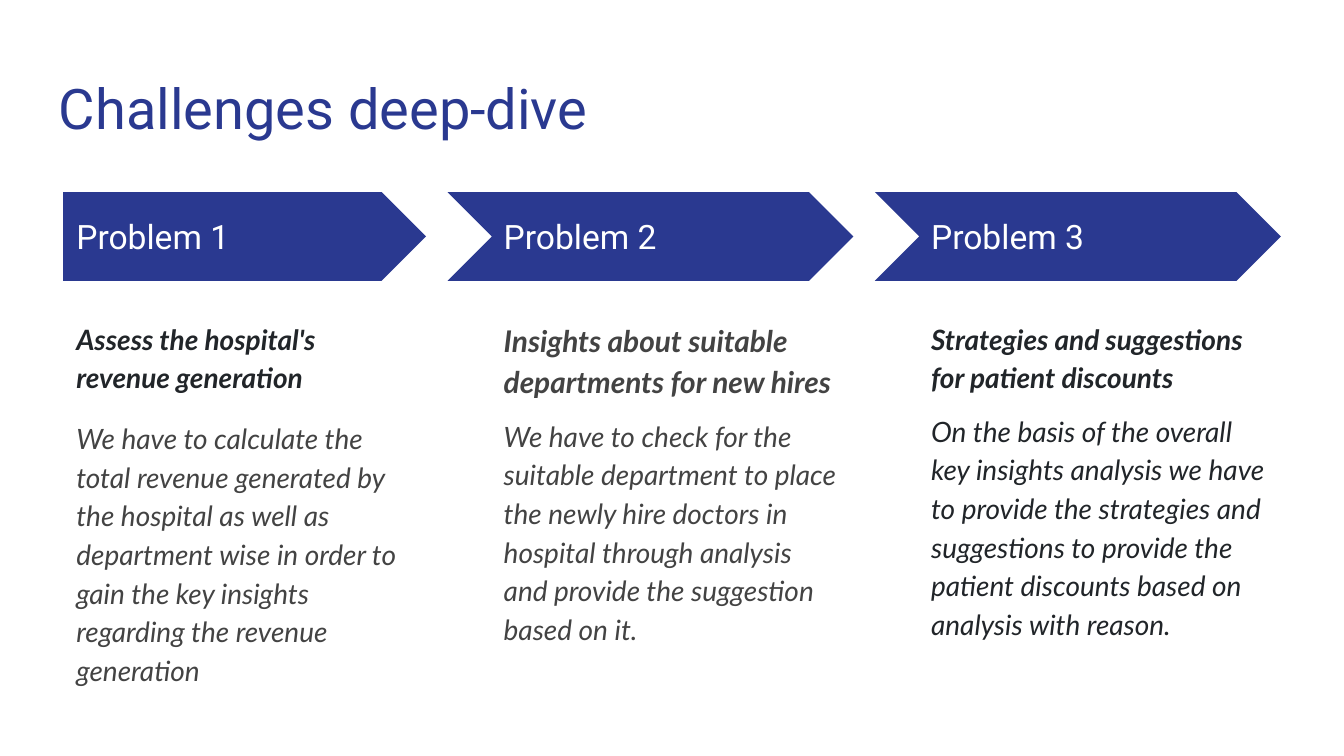
import pptx
import pptx.util
from pptx.dml.color import RGBColor
from pptx.enum.shapes import MSO_SHAPE
from pptx.enum.text import MSO_ANCHOR

Inches, Pt = pptx.util.Inches, pptx.util.Pt

TITLE = "Challenges deep-dive"
PROBLEMS = [
    {
        "label": "Problem 1",
        "heading": "Assess the hospital's revenue generation",
        "body": "We have to calculate the total revenue generated by the hospital "
                "as well as department wise in order to gain the key insights "
                "regarding the revenue generation",
        "heading_size": 15, "heading_color": "dark", "body_color": "gray", "gap": 12,
    },
    {
        "label": "Problem 2",
        "heading": "Insights about suitable departments for new hires",
        "body": "We have to check for the suitable department to place the newly "
                "hire doctors in hospital through analysis and provide the "
                "suggestion based on it.",
        "heading_size": 16, "heading_color": "gray", "body_color": "gray", "gap": 8,
    },
    {
        "label": "Problem 3",
        "heading": "Strategies and suggestions for patient discounts",
        "body": "On the basis of the overall key insights analysis we have to "
                "provide the strategies and suggestions to provide the patient "
                "discounts based on analysis with reason.",
        "heading_size": 15, "heading_color": "dark", "body_color": "dark", "gap": 8,
    },
]

THEME = {
    "blue": RGBColor.from_string("2A3990"),
    "white": RGBColor.from_string("FFFFFF"),
    "dark": RGBColor.from_string("212529"),
    "gray": RGBColor.from_string("434343"),
    "display": "Roboto", "text": "Lato",
    "title_size": 30, "label_size": 18, "body_size": 15,
}

SLIDE_W = 10
SLIDE_H = SLIDE_W * 9 / 16
LEFT, PITCH, COLUMN_W = 0.47, 3.18, 2.7
NOTCH = 0.32  # how far a chevron starts before its column
ARROW_TOP, ARROW_H = 1.43, 0.66
LABEL_W, LABEL_H = 2.47, 0.34
TEXT_TOP, TEXT_H = 2.26, 2.9


def add_text(slide, box, paragraphs, anchor=MSO_ANCHOR.TOP):
    """Add a text box; each paragraph is (text, font, size, color, bold, italic)."""
    tf = slide.shapes.add_textbox(*map(Inches, box)).text_frame
    tf.word_wrap = True
    tf.vertical_anchor = anchor
    tf.margin_left = tf.margin_right = tf.margin_top = tf.margin_bottom = Inches(0.1)
    for i, (text, font, size, color, bold, italic) in enumerate(paragraphs):
        p = tf.add_paragraph() if i else tf.paragraphs[0]
        p.text = text
        p.font.name, p.font.size = THEME[font], Pt(size)
        p.font.color.rgb = THEME[color]
        p.font.bold, p.font.italic = bold, italic
    return tf


def add_arrow(slide, left, is_first):
    notch = 0 if is_first else NOTCH
    kind = MSO_SHAPE.PENTAGON if is_first else MSO_SHAPE.CHEVRON
    sp = slide.shapes.add_shape(kind, Inches(left - notch), Inches(ARROW_TOP),
                                Inches(COLUMN_W + notch), Inches(ARROW_H))
    sp.adjustments[0] = 0.5
    sp.shadow.inherit = False
    sp.fill.solid()
    sp.fill.fore_color.rgb = THEME["blue"]
    sp.line.fill.background()


def add_problem(slide, index, problem):
    left = LEFT + index * PITCH
    add_arrow(slide, left, index == 0)
    label_top = ARROW_TOP + (ARROW_H - LABEL_H) / 2
    add_text(slide, (left, label_top, LABEL_W, LABEL_H),
             [(problem["label"], "display", THEME["label_size"], "white", False, False)],
             MSO_ANCHOR.MIDDLE)
    tf = add_text(slide, (left, TEXT_TOP, COLUMN_W, TEXT_H), [
        (problem["heading"], "text", problem["heading_size"],
         problem["heading_color"], True, True),
        (problem["body"], "text", THEME["body_size"],
         problem["body_color"], False, True),
    ])
    for p in tf.paragraphs:
        p.line_spacing = 1.15
    tf.paragraphs[1].space_before = Pt(problem["gap"])
    tf.paragraphs[1].space_after = Pt(8)


def main():
    prs = pptx.Presentation()
    prs.slide_width, prs.slide_height = Inches(SLIDE_W), Inches(SLIDE_H)
    slide = prs.slides.add_slide(prs.slide_layouts[6])
    add_text(slide, (0.34, 0.45, 9.32, 0.66),
             [(TITLE, "display", THEME["title_size"], "blue", False, False)])
    for i, problem in enumerate(PROBLEMS):
        add_problem(slide, i, problem)
    prs.save("out.pptx")


if __name__ == "__main__":
    main()
